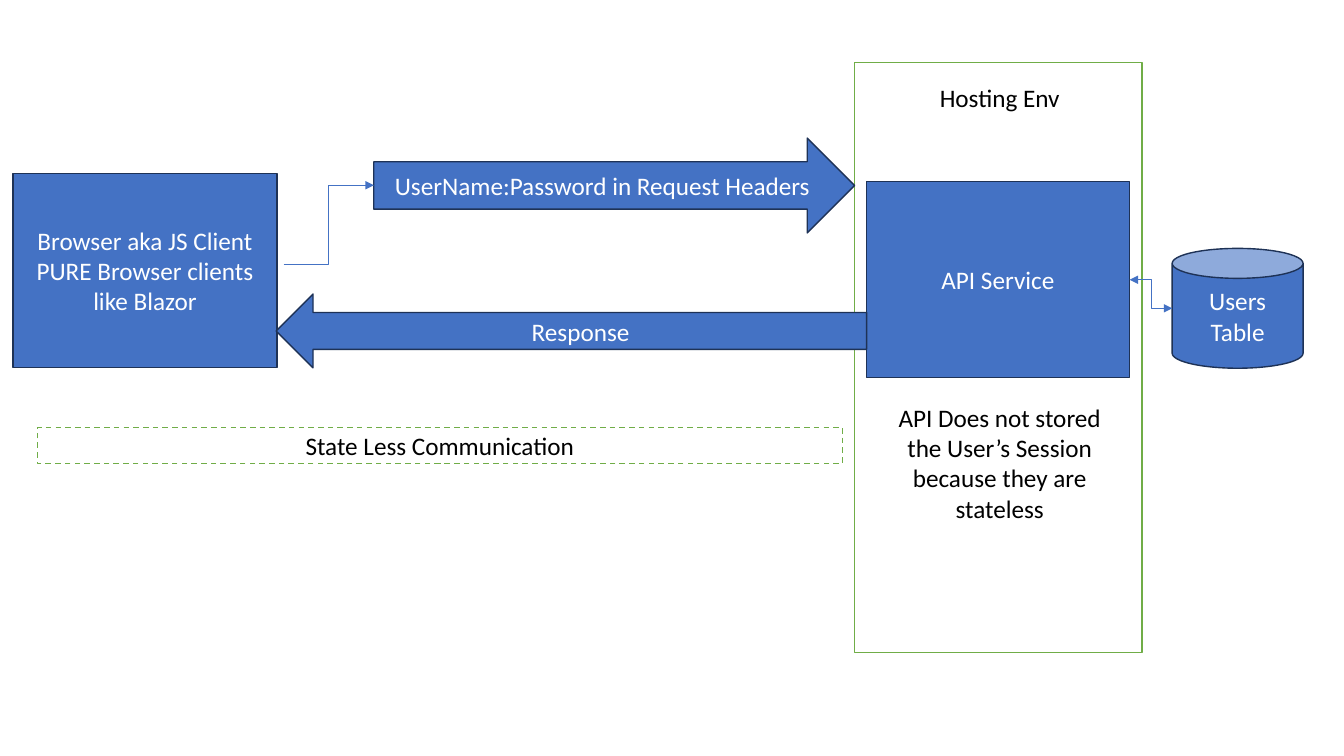
from dataclasses import dataclass
from typing import Optional

from lxml import etree
from pptx import Presentation
from pptx import util as u
from pptx.dml.color import RGBColor
from pptx.enum import dml, shapes, text
from pptx.oxml.ns import qn
from pptx.shapes.autoshape import Shape
from pptx.shapes.shapetree import SlideShapes


@dataclass(frozen=True)
class Theme:
    font: str = "Calibri"
    body_size: float = 18
    outline_width: float = 1
    link_width: float = 0.5
    blue: str = "4472C4"
    navy: str = "1E3256"
    green: str = "70AD47"
    white: str = "FFFFFF"
    black: str = "000000"


THEME = Theme()


@dataclass(frozen=True)
class Block:
    """A filled shape with its label; lengths are in centimetres."""
    geometry: shapes.MSO_SHAPE
    left: float
    top: float
    width: float
    height: float
    label: str = ""
    fill: str = THEME.blue
    outline: str = THEME.navy
    ink: str = THEME.white
    dashed: bool = False


@dataclass(frozen=True)
class Caption:
    top: float
    height: float
    label: str


@dataclass(frozen=True)
class Link:
    """An elbow arrow from one point to another, in centimetres."""
    start: tuple[float, float]
    end: tuple[float, float]
    two_way: bool = False


CAPTION_LEFT, CAPTION_WIDTH = 21.92, 6.55
GREEN_FRAME = {"fill": THEME.white, "outline": THEME.green, "ink": THEME.black}
RECT = shapes.MSO_SHAPE.RECTANGLE

BLOCKS = [
    Block(RECT, 21.54, 1.57, 7.24, 14.88, **GREEN_FRAME),
    Block(RECT, 21.84, 4.57, 6.62, 4.95, "API Service"),
    Block(shapes.MSO_SHAPE.RIGHT_ARROW, 9.42, 3.48, 12.12, 2.39,
          "UserName:Password in Request Headers"),
    Block(shapes.MSO_SHAPE.CAN, 29.54, 6.26, 3.3, 3.02, "Users Table"),
    Block(RECT, 0.33, 4.37, 6.65, 4.9,
          "Browser aka JS Client\nPURE Browser clients like Blazor"),
    Block(shapes.MSO_SHAPE.LEFT_ARROW, 6.96, 7.41, 14.88, 1.86, "Response"),
    Block(RECT, 0.94, 10.77, 20.29, 0.91, "State Less Communication",
          dashed=True, **GREEN_FRAME),
]

CAPTIONS = [
    Caption(1.96, 1.02, "Hosting Env"),
    Caption(10.01, 3.33, "API Does not stored the User’s Session because they are stateless"),
]

LINKS = [
    Link((28.47, 7.05), (29.54, 7.77), two_way=True),
    Link((7.15, 6.67), (9.42, 4.67)),
]


def write_label(holder: Shape, label: str, ink: str, anchor: text.MSO_ANCHOR) -> None:
    frame = holder.text_frame
    frame.word_wrap = True
    frame.vertical_anchor = anchor
    frame.text = label
    for paragraph in frame.paragraphs:
        paragraph.alignment = text.PP_ALIGN.CENTER
        paragraph.font.name = THEME.font
        paragraph.font.size = u.Pt(THEME.body_size)
        for run in paragraph.runs:
            run.font.name = THEME.font
            run.font.size = u.Pt(THEME.body_size)
            run.font.color.rgb = RGBColor.from_string(ink)


def draw_block(canvas: SlideShapes, block: Block) -> None:
    body = canvas.add_shape(block.geometry, u.Cm(block.left), u.Cm(block.top),
                            u.Cm(block.width), u.Cm(block.height))
    body.shadow.inherit = False
    body.fill.solid()
    body.fill.fore_color.rgb = RGBColor.from_string(block.fill)
    body.line.color.rgb = RGBColor.from_string(block.outline)
    body.line.width = u.Pt(THEME.outline_width)
    if block.dashed:
        body.line.dash_style = dml.MSO_LINE.DASH
    if block.label:
        write_label(body, block.label, block.ink, text.MSO_ANCHOR.MIDDLE)


def draw_caption(canvas: SlideShapes, caption: Caption) -> None:
    box = canvas.add_textbox(u.Cm(CAPTION_LEFT), u.Cm(caption.top),
                             u.Cm(CAPTION_WIDTH), u.Cm(caption.height))
    write_label(box, caption.label, THEME.black, text.MSO_ANCHOR.TOP)


def draw_link(canvas: SlideShapes, link: Link) -> None:
    arrow = canvas.add_connector(shapes.MSO_CONNECTOR.ELBOW,
                                 *map(u.Cm, link.start + link.end))
    arrow.line.color.rgb = RGBColor.from_string(THEME.blue)
    arrow.line.width = u.Pt(THEME.link_width)
    outline = arrow.line._get_or_add_ln()
    ends: list[Optional[str]] = ["a:headEnd" if link.two_way else None, "a:tailEnd"]
    for tag in filter(None, ends):
        etree.SubElement(outline, qn(tag), type="triangle")
    etree.SubElement(arrow._element.spPr, qn("a:effectLst"))


def main() -> None:
    deck = Presentation()
    deck.slide_width, deck.slide_height = u.Cm(33.87), u.Cm(19.05)
    canvas = deck.slides.add_slide(deck.slide_layouts[6]).shapes
    for block in BLOCKS:
        draw_block(canvas, block)
    for link in LINKS:
        draw_link(canvas, link)
    for caption in CAPTIONS:
        draw_caption(canvas, caption)
    deck.save("out.pptx")


if __name__ == "__main__":
    main()
